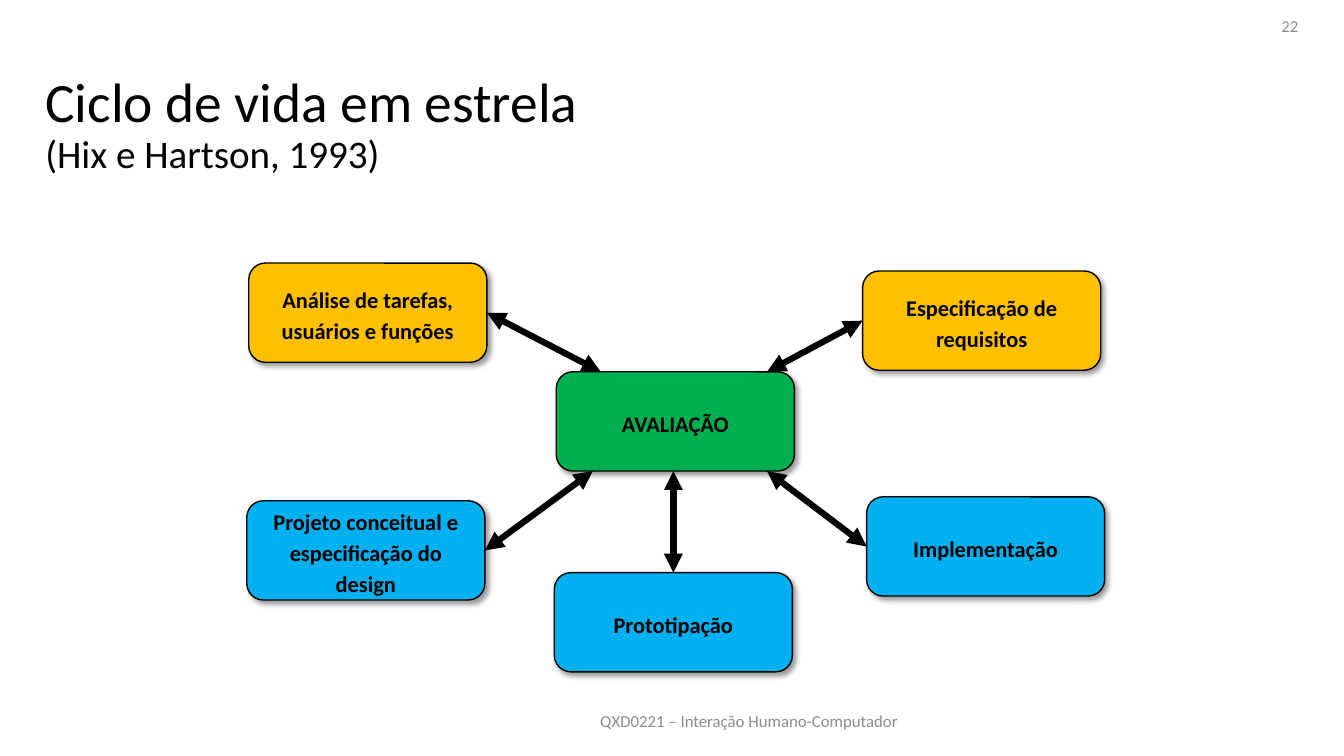
import pptx
import pptx.util
import pptx.dml.color
import pptx.enum.dml
import pptx.enum.shapes
import pptx.enum.text
import pptx.oxml
import pptx.oxml.ns
from dataclasses import dataclass

Cm = pptx.util.Cm
Pt = pptx.util.Pt
ALIGN = pptx.enum.text.PP_ALIGN
ANCHOR = pptx.enum.text.MSO_ANCHOR
TOP, LEFT, BOTTOM, RIGHT = range(4)


@dataclass
class Theme:
    font: str = "Calibri"
    ink: str = "000000"
    muted: str = "8C8C8C"
    analysis: str = "FFC000"
    hub: str = "00B050"
    build: str = "00B0F0"
    title_size: float = 39.6
    subtitle_size: float = 27.9
    box_size: float = 16
    note_size: float = 12
    box_line: float = 1
    arrow_line: float = 4.5


def apply(obj, formats):
    for name, value in formats.items():
        setattr(obj, name, value)


def rgb(color):
    return pptx.dml.color.RGBColor.from_string(color)


def xml(body):
    return pptx.oxml.parse_xml(body.replace(">", f' {pptx.oxml.ns.nsdecls("a")}>', 1))


class StarSlide:
    BOX_W, BOX_H = 6, 2.5
    SHADOW = (
        '<a:effectLst><a:outerShdw blurRad="50800" dist="38100" dir="2700000" '
        'algn="tl" rotWithShape="0"><a:srgbClr val="{}"><a:alpha val="40000"/>'
        '</a:srgbClr></a:outerShdw></a:effectLst>'
    )

    def __init__(self, prs, theme):
        self.theme = theme
        self.s = prs.slides.add_slide(prs.slide_layouts[5])

    def run(self, p, text, size, color, bold=False):
        r = p.add_run()
        r.text = text
        apply(r.font, {"name": self.theme.font, "size": Pt(size), "bold": bold})
        r.font.color.rgb = rgb(color)

    def frame(self, sp, align, **paragraph):
        tf = sp.text_frame
        apply(tf, {
            "word_wrap": True,
            "auto_size": pptx.enum.text.MSO_AUTO_SIZE.NONE,
            "vertical_anchor": ANCHOR.MIDDLE,
        })
        p = tf.paragraphs[0]
        apply(p, {"alignment": align, **paragraph})
        return p

    def title(self, text, subtitle, x, y, w, h):
        sp = self.s.shapes.title
        apply(sp, {"left": Cm(x), "top": Cm(y), "width": Cm(w), "height": Cm(h)})
        p = self.frame(sp, ALIGN.LEFT, line_spacing=0.9)
        self.run(p, text, self.theme.title_size, self.theme.ink)
        p.add_line_break()
        self.run(p, subtitle, self.theme.subtitle_size, self.theme.ink)

    def note(self, text, x, y, w, h, align):
        sp = self.s.shapes.add_textbox(Cm(x), Cm(y), Cm(w), Cm(h))
        self.run(self.frame(sp, align), text, self.theme.note_size, self.theme.muted)

    def box(self, text, x, y, color):
        sp = self.s.shapes.add_shape(
            pptx.enum.shapes.MSO_SHAPE.ROUNDED_RECTANGLE,
            Cm(x), Cm(y), Cm(self.BOX_W), Cm(self.BOX_H))
        sp.fill.solid()
        sp.fill.fore_color.rgb = rgb(color)
        sp.line.color.rgb = rgb(self.theme.ink)
        sp.line.width = Pt(self.theme.box_line)
        sp._element.spPr.append(xml(self.SHADOW.format(self.theme.ink)))
        p = self.frame(sp, ALIGN.CENTER, line_spacing=1.15, space_after=Pt(10))
        self.run(p, text, self.theme.box_size, self.theme.ink, bold=True)
        return sp

    def arrow(self, sp, side, x, y):
        c = self.s.shapes.add_connector(
            pptx.enum.shapes.MSO_CONNECTOR.STRAIGHT, 0, 0, Cm(x), Cm(y))
        c.begin_connect(sp, side)
        c.line.color.rgb = rgb(self.theme.ink)
        c.line.width = Pt(self.theme.arrow_line)
        ln = c.line._get_or_add_ln()
        for end in ("headEnd", "tailEnd"):
            ln.append(xml(f'<a:{end} type="triangle"></a:{end}>'))
        c._element.spPr.append(xml("<a:effectLst></a:effectLst>"))


def main():
    prs = pptx.Presentation()
    apply(prs, {"slide_width": Cm(33.87), "slide_height": Cm(19.05)})
    theme = Theme()
    s = StarSlide(prs, theme)
    s.title("Ciclo de vida em estrela ", "(Hix e Hartson, 1993)", 0.89, 1.65, 32.03, 3.05)
    s.note("QXD0221 – Interação Humano-Computador", 8.86, 17.65, 20.04, 1.02, ALIGN.CENTER)
    s.note("22", 25.35, 0.13, 7.62, 1.02, ALIGN.RIGHT)

    hub_x, hub_top = 14.02, 9.37
    hub_bottom = hub_top + s.BOX_H
    s.box("AVALIAÇÃO", hub_x, hub_top, theme.hub)
    activities = [
        ("Análise de tarefas, usuários e funções", 6.27, 6.63, theme.analysis, RIGHT, 15.14, hub_top),
        ("Especificação de requisitos", 21.74, 6.83, theme.analysis, LEFT, 19.33, hub_top),
        ("Implementação", 21.84, 12.52, theme.build, LEFT, 19.33, hub_bottom),
        ("Projeto conceitual e especificação do design", 6.22, 12.62, theme.build, RIGHT, 14.94, hub_bottom),
        ("Prototipação", 13.97, 14.43, theme.build, TOP, 16.97, hub_bottom),
    ]
    for text, x, y, color, side, end_x, end_y in activities:
        s.arrow(s.box(text, x, y, color), side, end_x, end_y)

    prs.save("out.pptx")


if __name__ == "__main__":
    main()
